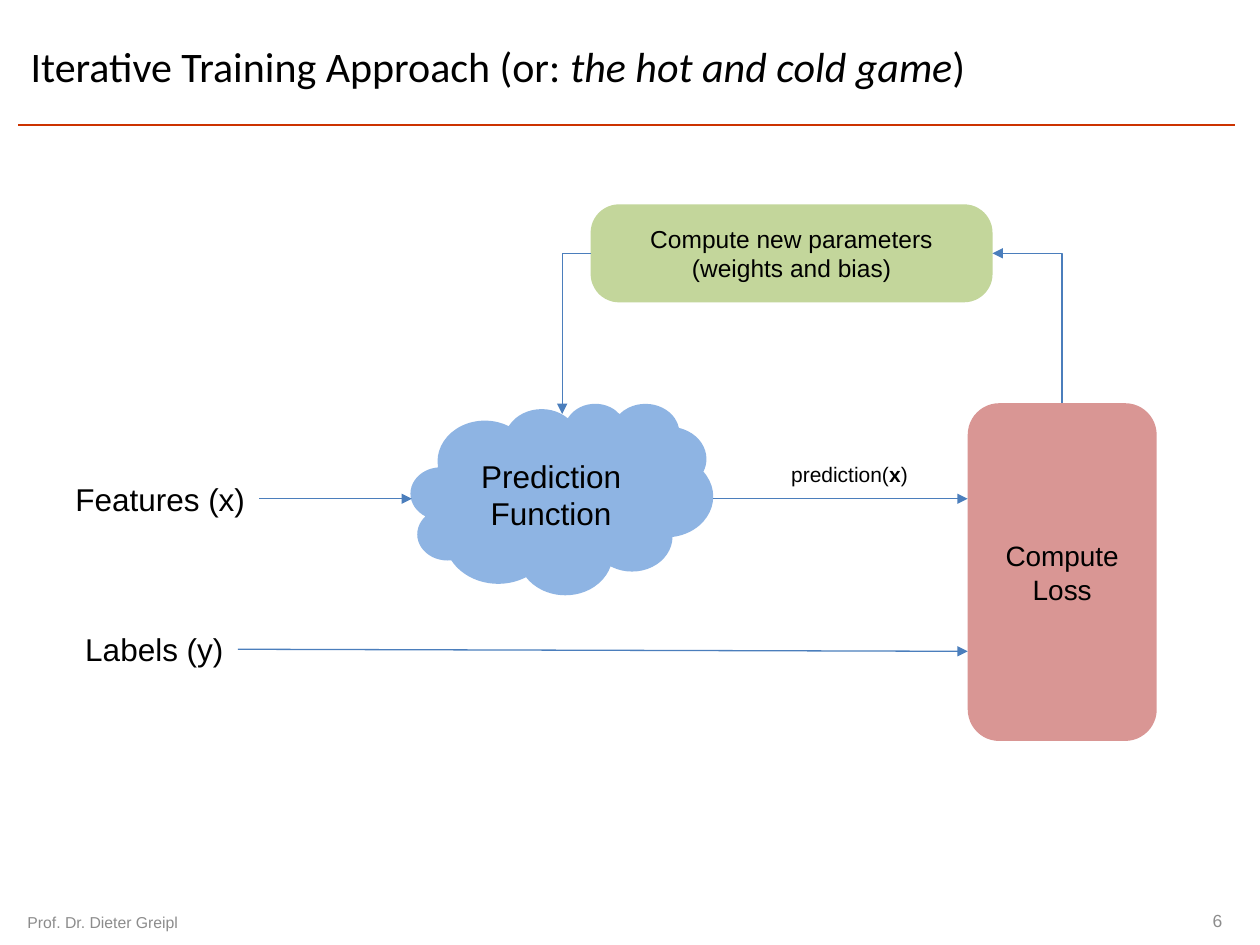
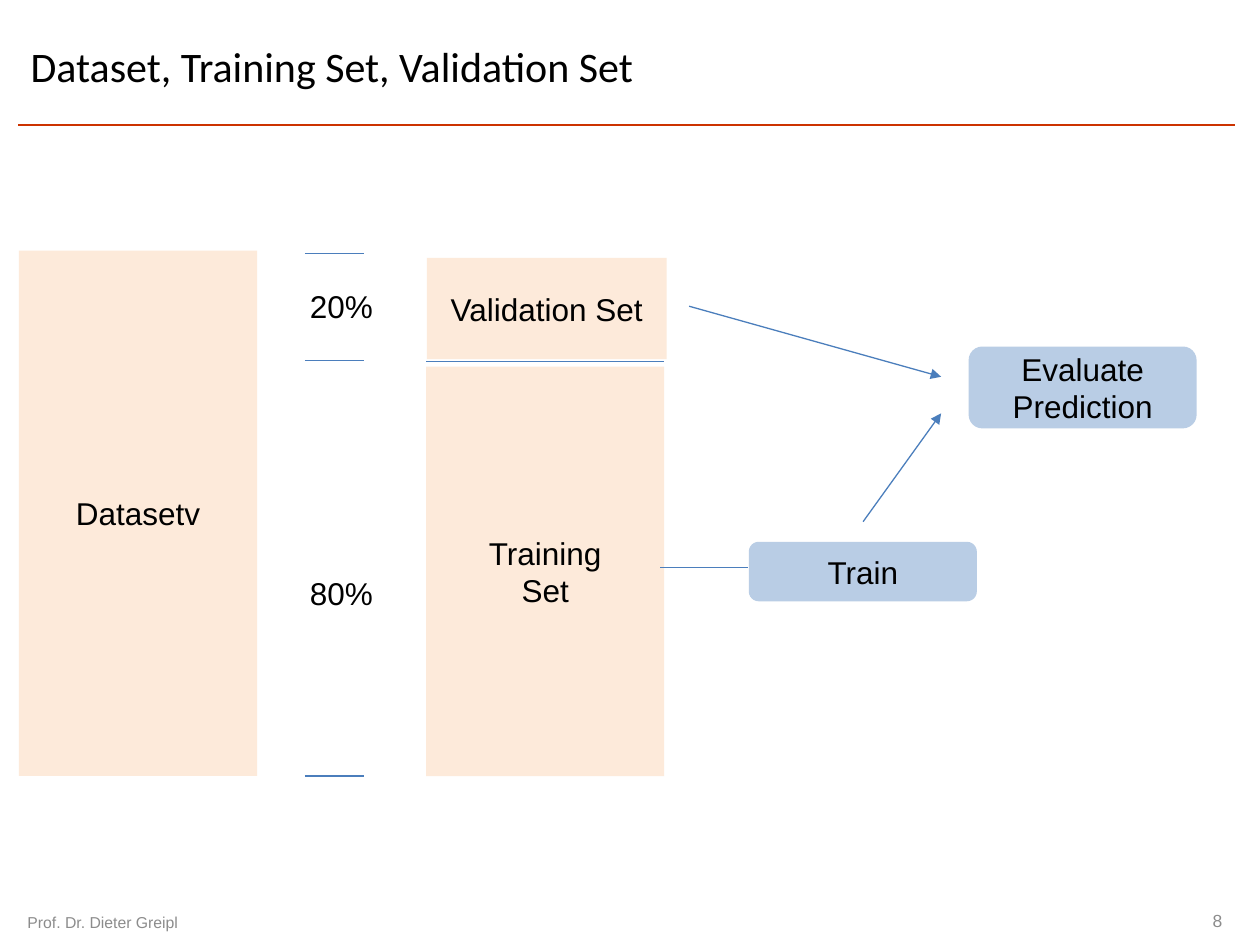
from pptx import Presentation
from pptx.dml.color import RGBColor
from pptx.enum.shapes import MSO_CONNECTOR, MSO_SHAPE
from pptx.enum.text import MSO_ANCHOR, PP_ALIGN
from pptx.oxml.ns import qn
from pptx.util import Pt
from lxml.etree import SubElement

COLORS = {
    "text": "000000", "footer": "8C8C8C", "rule": "CC3300", "arrow": "4B7EBC",
    "prediction": "8EB4E3", "loss": "D99694", "parameters": "C3D69B",
    "data": "FDEADA", "step": "B9CDE5",
}


def add_text(slide, text, left, top, width, height, size=18, kind=None, fill=None,
             color="text", alignment=PP_ALIGN.LEFT, anchor=MSO_ANCHOR.TOP, wrap=False):
    box = [Pt(length) for length in (left, top, width, height)]
    if kind is None:
        shape = slide.shapes.add_textbox(*box)
    else:
        shape = slide.shapes.add_shape(kind, *box)
        shape.shadow.inherit = False
        shape.fill.solid()
        shape.fill.fore_color.rgb = RGBColor.from_string(COLORS[fill])
        shape.line.fill.background()
        alignment, anchor, wrap = PP_ALIGN.CENTER, MSO_ANCHOR.MIDDLE, True
    frame = shape.text_frame
    frame.word_wrap = wrap
    frame.vertical_anchor = anchor
    frame.text = text
    for paragraph in frame.paragraphs:
        paragraph.alignment = alignment
        paragraph.font.name = "Arial"
        paragraph.font.size = Pt(size)
        paragraph.font.color.rgb = RGBColor.from_string(COLORS[color])
    return shape


def add_line(slide, start_x, start_y, end_x, end_y, arrow=False, bent=False,
             color="arrow", width=0.75):
    connector = slide.shapes.add_connector(
        MSO_CONNECTOR.ELBOW if bent else MSO_CONNECTOR.STRAIGHT,
        Pt(start_x), Pt(start_y), Pt(end_x), Pt(end_y))
    connector.line.color.rgb = RGBColor.from_string(COLORS[color])
    connector.line.width = Pt(width)
    properties = connector._element.spPr
    if bent:
        properties.find(qn("a:prstGeom")).set("prst", "bentConnector2")
    if arrow:
        SubElement(properties.find(qn("a:ln")), qn("a:tailEnd"), type="triangle")
    SubElement(properties, qn("a:effectLst"))
    return connector


presentation = Presentation()
presentation.slide_width = Pt(720)
presentation.slide_height = Pt(540)

slides = []
for number, title_runs in (
    ("6", [("Iterative Training Approach (or: ", False),
           ("the hot and cold game", True), (")", False)]),
    ("8", [("Dataset, Training Set, Validation Set", False)]),
):
    slide = presentation.slides.add_slide(presentation.slide_layouts[5])
    slides.append(slide)
    add_line(slide, 10.3, 71.4, 705.6, 71.4, color="rule", width=1)
    title = slide.shapes.title
    title.left, title.top, title.width, title.height = Pt(10.3), Pt(4.3), Pt(634.3), Pt(67)
    title.text_frame.vertical_anchor = MSO_ANCHOR.MIDDLE
    paragraph = title.text_frame.paragraphs[0]
    paragraph.alignment = PP_ALIGN.LEFT
    paragraph.font.name = "Calibri"
    paragraph.font.size = Pt(24)
    paragraph.font.color.rgb = RGBColor.from_string(COLORS["text"])
    for text, italic in title_runs:
        run = paragraph.add_run()
        run.text = text
        run.font.italic = italic
    add_text(slide, "Prof. Dr. Dieter Greipl", 8.6, 515.5, 170, 23, size=9,
             color="footer", anchor=MSO_ANCHOR.MIDDLE, wrap=True)
    add_text(slide, number, 537.8, 515.5, 167.8, 21.6, size=10, color="footer",
             alignment=PP_ALIGN.RIGHT, anchor=MSO_ANCHOR.MIDDLE, wrap=True)

training, datasets = slides

add_text(training, "Features (x)", 36, 270.7, 112.3, 29)
add_text(training, "Labels (y)", 41.6, 356.6, 94.3, 29)
add_text(training, "Prediction Function", 234.7, 230.4, 172.8, 109.4,
         kind=MSO_SHAPE.CLOUD, fill="prediction")
add_text(training, "Compute\nLoss", 553, 230.4, 108, 193, size=16,
         kind=MSO_SHAPE.ROUNDED_RECTANGLE, fill="loss")
parameters = add_text(training, "Compute new parameters (weights and bias)",
                      337.5, 116.8, 229.7, 56, size=14,
                      kind=MSO_SHAPE.ROUNDED_RECTANGLE, fill="parameters")
parameters.adjustments[0] = 0.29
prediction = add_text(training, "prediction(", 445, 260, 81.4, 21.6, size=12)
for text, bold in (("x", True), (")", False)):
    run = prediction.text_frame.paragraphs[0].add_run()
    run.text = text
    run.font.bold = bold

for ends in ((148.3, 285, 235.4, 285), (407.5, 285, 553, 285), (136, 371, 553, 372.2)):
    add_line(training, *ends, arrow=True)
add_line(training, 337.5, 144.8, 321.3, 236.6, arrow=True, bent=True)
loss_to_parameters = add_line(training, 544.2, 207.5, 629.8, 167.7, arrow=True, bent=True)
loss_to_parameters._element.spPr.find(qn("a:xfrm")).set("rot", "16200000")

for text, left, top, width, height in (
    ("Datasetv", 10.8, 143.3, 136.1, 300.2),
    ("Training\nSet", 243.5, 209.5, 136.1, 234),
    ("Validation Set", 243.9, 147.4, 137, 57.8),
):
    add_text(datasets, text, left, top, width, height, kind=MSO_SHAPE.RECTANGLE, fill="data")
for text, top in (("20%", 160.6), ("80%", 324.7)):
    add_text(datasets, text, 170, top, 51, 29)
for tick in (144.7, 205.9, 443.5):
    add_line(datasets, 174.2, tick, 208, tick)
add_line(datasets, 243.5, 206.6, 379.5, 206.6)
add_line(datasets, 377.3, 324.5, 427.7, 324.5)
for text, left, top, height in (
    ("Train", 427.9, 309.6, 34),
    ("Evaluate\nPrediction", 553.5, 198, 46.8),
):
    add_text(datasets, text, left, top, 130.3, height,
             kind=MSO_SHAPE.ROUNDED_RECTANGLE, fill="step")
add_line(datasets, 493.2, 298.1, 537.8, 236.2, arrow=True)
add_line(datasets, 393.8, 175, 537.8, 215.3, arrow=True)

presentation.save("out.pptx")
